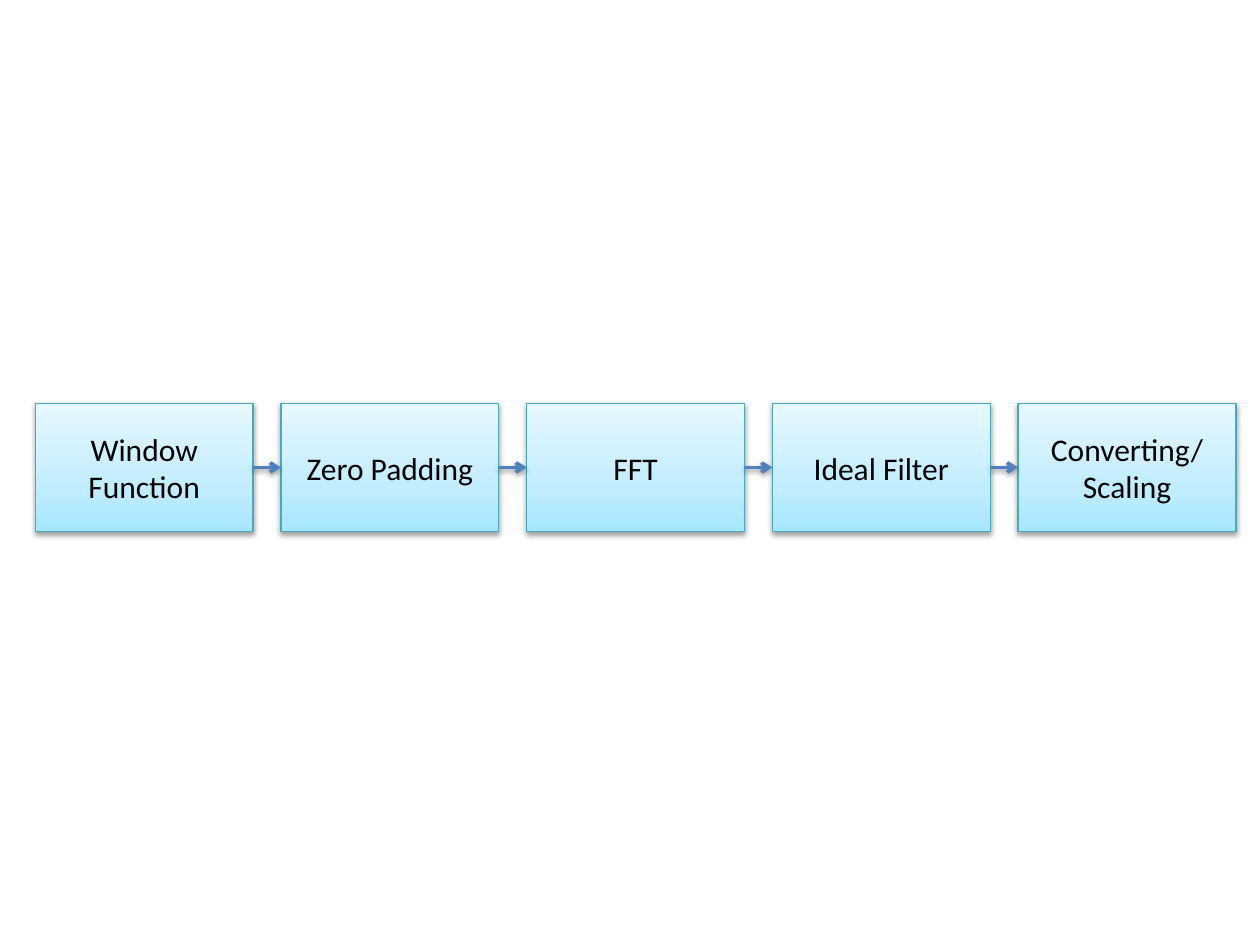
import copy

import pptx
import pptx.dml.color
import pptx.enum.shapes
import pptx.enum.text
import pptx.oxml
import pptx.oxml.ns
import pptx.util
from pptx.util import Inches

COLORS = {
    "stage_bottom": "A7E6FF",
    "stage_middle": "C1EDFF",
    "stage_top": "E7F8FF",
    "stage_line": "46AAC5",
    "arrow": "4F81BD",
    "text": "000000",
    "shadow": "000000",
}
STAGES = [
    ["Window Function"],
    ["Zero Padding"],
    ["FFT"],
    ["Ideal Filter"],
    ["Converting/", "Scaling"],
]
LEFT, TOP = 0.28, 3.2
WIDTH, HEIGHT = 1.73, 1.02
PITCH = 1.95
RIGHT_SIDE, LEFT_SIDE = 3, 1


def rgb(name):
    return pptx.dml.color.RGBColor.from_string(COLORS[name])


def add_shadow(element):
    """Give a shape or connector the soft shadow straight below it."""
    element.spPr.append(pptx.oxml.parse_xml(
        f'<a:effectLst {pptx.oxml.ns.nsdecls("a")}>'
        '<a:outerShdw blurRad="40000" dist="20000" dir="5400000" rotWithShape="0">'
        f'<a:srgbClr val="{COLORS["shadow"]}"><a:alpha val="38000"/></a:srgbClr>'
        '</a:outerShdw></a:effectLst>'))


def fill_gradient(stage):
    """Fill a stage from bottom to top through three colours."""
    stage.fill.gradient()
    stage.fill.gradient_angle = 90
    first_stop = stage._element.spPr.find(".//" + pptx.oxml.ns.qn("a:gs"))
    first_stop.addnext(copy.deepcopy(first_stop))
    steps = [(0, "stage_bottom"), (0.35, "stage_middle"), (1, "stage_top")]
    for stop, (position, color) in zip(stage.fill.gradient_stops, steps):
        stop.position = position
        stop.color.rgb = rgb(color)


def add_stage(slide, index, lines):
    stage = slide.shapes.add_shape(
        pptx.enum.shapes.MSO_SHAPE.RECTANGLE,
        Inches(LEFT + index * PITCH), Inches(TOP), Inches(WIDTH), Inches(HEIGHT))
    fill_gradient(stage)
    stage.line.color.rgb = rgb("stage_line")
    stage.line.width = pptx.util.Pt(0.75)
    add_shadow(stage._element)

    label = stage.text_frame
    label.word_wrap = True
    label.vertical_anchor = pptx.enum.text.MSO_ANCHOR.MIDDLE
    for number, line in enumerate(lines):
        paragraph = label.add_paragraph() if number else label.paragraphs[0]
        paragraph.text = line
        paragraph.alignment = pptx.enum.text.PP_ALIGN.CENTER
        paragraph.font.name = "Calibri"
        paragraph.font.size = pptx.util.Pt(18)
        paragraph.font.color.rgb = rgb("text")
    return stage


def add_arrow(slide, source, target):
    arrow = slide.shapes.add_connector(
        pptx.enum.shapes.MSO_CONNECTOR.STRAIGHT, 0, 0, 0, 0)
    arrow.begin_connect(source, RIGHT_SIDE)
    arrow.end_connect(target, LEFT_SIDE)
    arrow.line.color.rgb = rgb("arrow")
    arrow.line.width = pptx.util.Pt(2)
    outline = arrow._element.spPr.find(pptx.oxml.ns.qn("a:ln"))
    outline.append(pptx.oxml.parse_xml(
        f'<a:tailEnd {pptx.oxml.ns.nsdecls("a")} type="arrow"/>'))
    add_shadow(arrow._element)


def main():
    presentation = pptx.Presentation()
    presentation.slide_width = Inches(10)
    presentation.slide_height = Inches(7.5)
    slide = presentation.slides.add_slide(presentation.slide_layouts[6])

    # Processing stages, left to right
    stages = [add_stage(slide, index, lines) for index, lines in enumerate(STAGES)]

    # Arrows between neighbouring stages
    for source, target in zip(stages, stages[1:]):
        add_arrow(slide, source, target)

    presentation.save("out.pptx")


if __name__ == "__main__":
    main()
